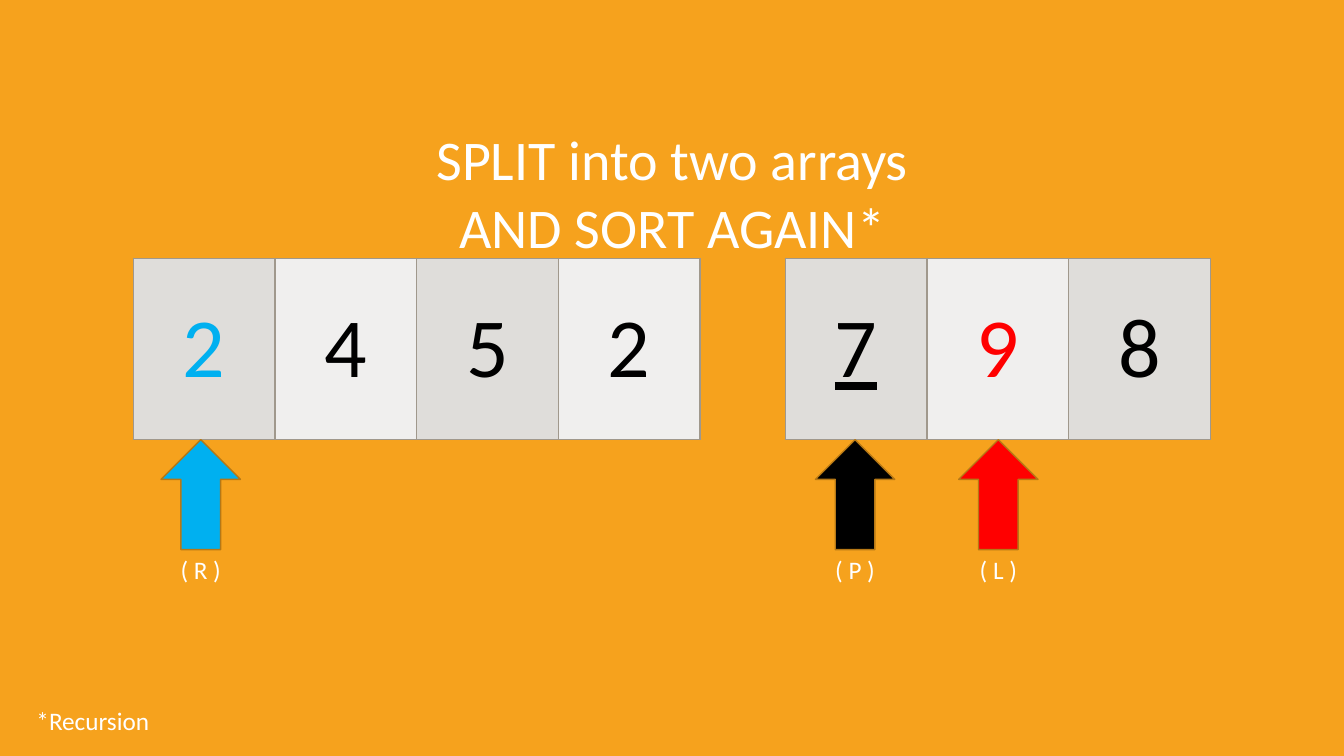
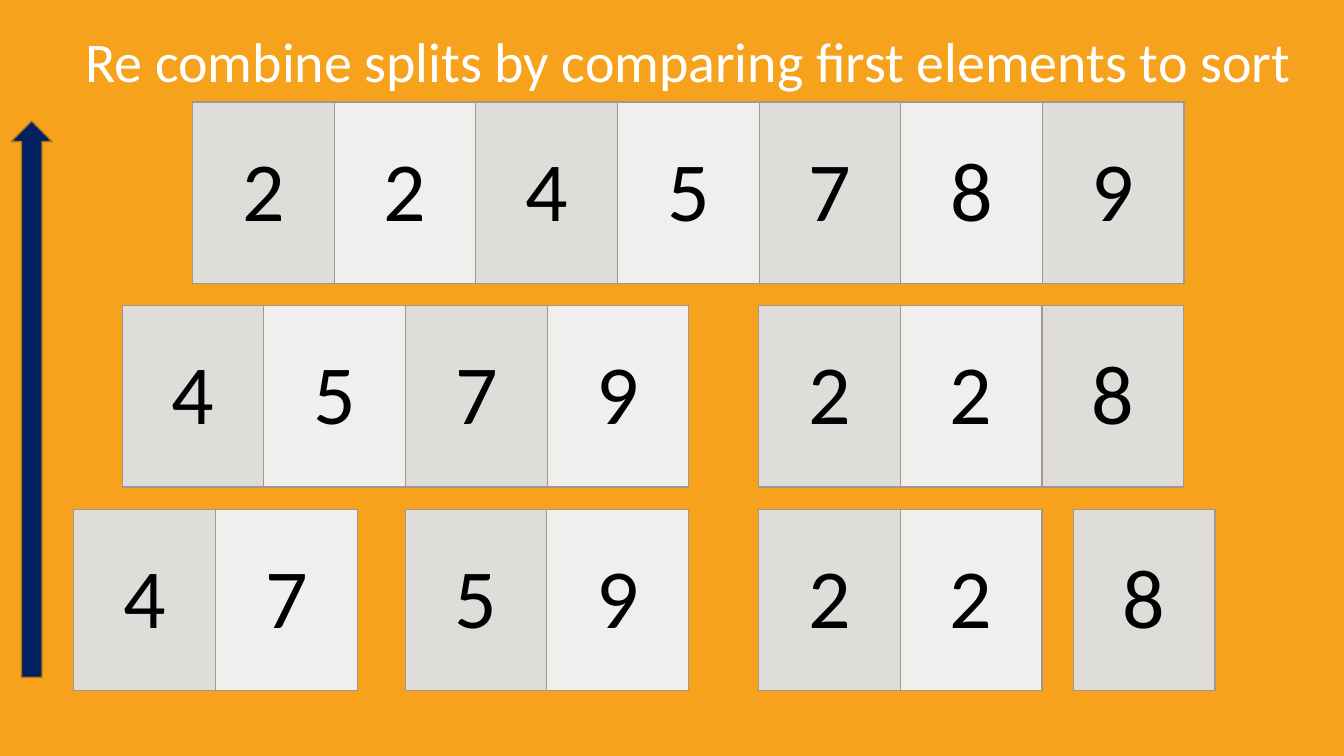
from lxml.etree import SubElement
from pptx import Presentation
from pptx.dml.color import RGBColor
from pptx.enum.shapes import MSO_SHAPE
from pptx.enum.text import MSO_ANCHOR, MSO_AUTO_SIZE, PP_ALIGN
from pptx.oxml.ns import qn
from pptx.util import Cm, Pt

ORANGE = RGBColor(0xF6, 0xA2, 0x1D)
WHITE = RGBColor(0xFF, 0xFF, 0xFF)
BLACK = RGBColor(0x00, 0x00, 0x00)
RED = RGBColor(0xFF, 0x00, 0x00)
BLUE = RGBColor(0x00, 0xB0, 0xF0)
NAVY = RGBColor(0x00, 0x20, 0x60)
ARROW_EDGE = RGBColor(0xB6, 0x78, 0x15)
CELL_EDGE = RGBColor(0xA0, 0x98, 0x8C)
CELL_FILLS = (RGBColor(0xDF, 0xDD, 0xDA), RGBColor(0xF0, 0xEF, 0xEE))

FONT = "Calibri"
TITLE_ONLY = 5
CELL_WIDTH = Cm(3.57)
CELL_HEIGHT = Cm(4.57)


def format_text(text_frame, size, color, alignment=PP_ALIGN.CENTER):
    for paragraph in text_frame.paragraphs:
        paragraph.alignment = alignment
        for run in paragraph.runs:
            run.font.name = FONT
            run.font.size = Pt(size)
            run.font.color.rgb = color


def add_titled_slide(presentation, title, left, top, width, height):
    slide = presentation.slides.add_slide(presentation.slide_layouts[TITLE_ONLY])
    shape = slide.shapes.title
    shape.left, shape.top, shape.width, shape.height = left, top, width, height
    text_frame = shape.text_frame
    text_frame.text = title
    text_frame.word_wrap = True
    text_frame.auto_size = MSO_AUTO_SIZE.NONE
    text_frame.vertical_anchor = MSO_ANCHOR.TOP
    format_text(text_frame, 40, WHITE)
    return slide


def add_borders(cell):
    properties = cell._tc.get_or_add_tcPr()
    for side in ("a:lnL", "a:lnR", "a:lnT", "a:lnB"):
        line = SubElement(properties, qn(side), w=str(Pt(1)))
        fill = SubElement(line, qn("a:solidFill"))
        SubElement(fill, qn("a:srgbClr"), val=str(CELL_EDGE))


def add_array(slide, digits, left, top):
    count = len(digits)
    frame = slide.shapes.add_table(1, count, left, top, CELL_WIDTH * count, CELL_HEIGHT)
    table = frame.table
    table.first_row = False
    table.horz_banding = False
    for index, digit in enumerate(digits):
        table.columns[index].width = CELL_WIDTH
        cell = table.cell(0, index)
        add_borders(cell)
        cell.fill.solid()
        cell.fill.fore_color.rgb = CELL_FILLS[index % 2]
        cell.vertical_anchor = MSO_ANCHOR.MIDDLE
        cell.text_frame.text = digit
        format_text(cell.text_frame, 60, BLACK)
    return table


def cell_font(table, index):
    return table.cell(0, index).text_frame.paragraphs[0].runs[0].font


def add_up_arrow(slide, color, left, top, width, height):
    arrow = slide.shapes.add_shape(MSO_SHAPE.UP_ARROW, left, top, width, height)
    arrow.shadow.inherit = False
    arrow.fill.solid()
    arrow.fill.fore_color.rgb = color
    arrow.line.color.rgb = ARROW_EDGE
    arrow.line.width = Pt(1)


def add_label(slide, text, left, top, width, alignment=PP_ALIGN.CENTER):
    label = slide.shapes.add_textbox(left, top, width, Cm(1.03))
    label.text_frame.word_wrap = True
    label.text_frame.text = text
    format_text(label.text_frame, 18, WHITE, alignment)


def add_pointer(slide, text, color, center, top):
    arrow_width, arrow_height, label_width = Cm(2), Cm(2.77), Cm(4.2)
    add_up_arrow(slide, color, center - arrow_width // 2, top, arrow_width, arrow_height)
    add_label(slide, text, center - label_width // 2, top + arrow_height, label_width)


def build_split_slide(presentation):
    slide = add_titled_slide(
        presentation, "SPLIT into two arrays\nAND SORT AGAIN*",
        Cm(7.49), Cm(3.02), Cm(18.9), Cm(3.5))
    top = Cm(6.51)
    lower = add_array(slide, "2452", Cm(3.36), top)
    upper = add_array(slide, "798", Cm(19.79), top)
    cell_font(lower, 0).color.rgb = BLUE
    cell_font(upper, 0).underline = True
    cell_font(upper, 1).color.rgb = RED
    for text, color, center in (
            ("( R )", BLUE, 5.06), ("( P )", BLACK, 21.55), ("( L )", RED, 25.16)):
        add_pointer(slide, text, color, Cm(center), top + CELL_HEIGHT)
    add_label(slide, "*Recursion", Cm(0.67), Cm(17.65), Cm(3.6), PP_ALIGN.LEFT)


def build_combine_slide(presentation):
    slide = add_titled_slide(
        presentation, "Re combine splits by comparing first elements to sort",
        Cm(1.32), Cm(0.54), Cm(32.03), Cm(3.5))
    levels = (
        (("2245789", 4.85),),
        (("4579", 3.08), ("228", 19.12)),
        (("47", 1.86), ("59", 10.21), ("22", 19.12), ("8", 27.05)),
    )
    for level, arrays in enumerate(levels):
        for digits, left in arrays:
            add_array(slide, digits, Cm(left), Cm(2.57) + level * Cm(5.13))
    add_up_arrow(slide, NAVY, Cm(0.28), Cm(3.05), Cm(1.04), Cm(14.02))


def main():
    presentation = Presentation()
    presentation.slide_width = Cm(33.87)
    presentation.slide_height = Cm(19.05)
    background = presentation.slide_master.background.fill
    background.solid()
    background.fore_color.rgb = ORANGE
    build_split_slide(presentation)
    build_combine_slide(presentation)
    presentation.save("out.pptx")


if __name__ == "__main__":
    main()
